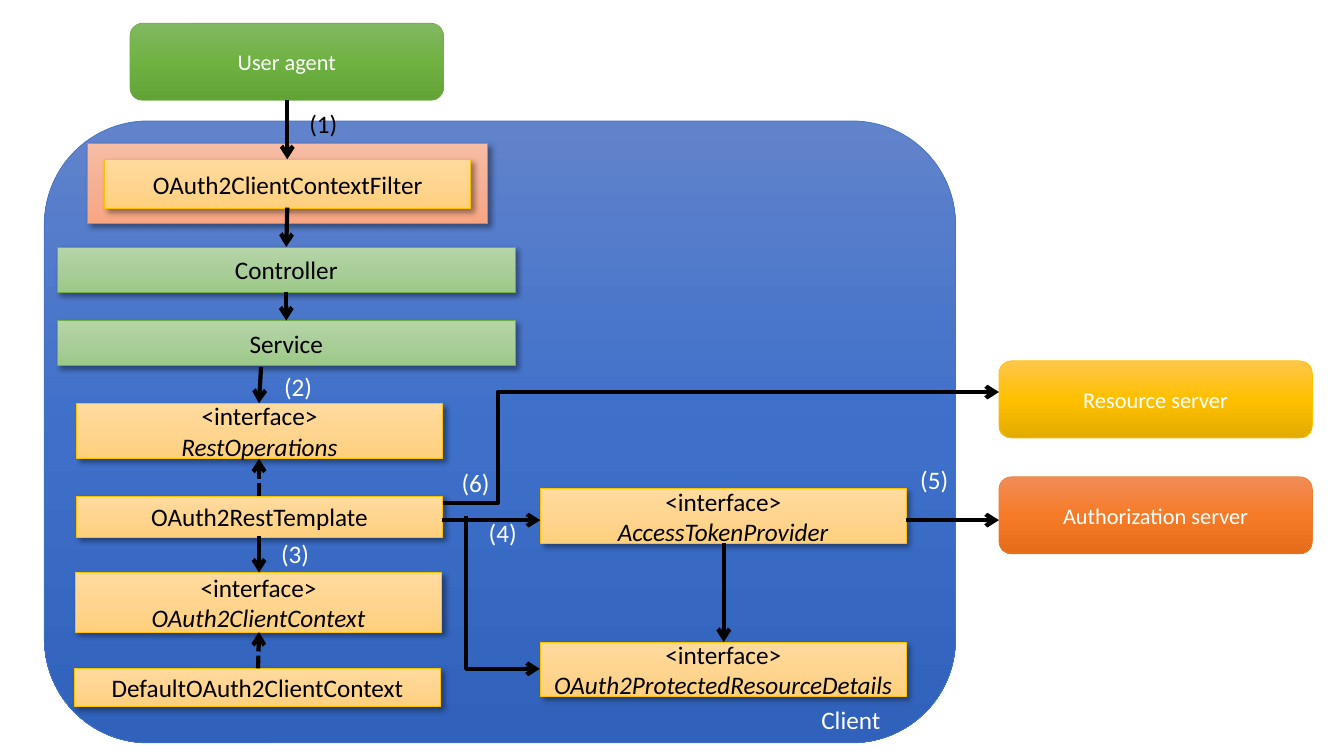
from lxml import etree
from pptx import Presentation, util as u
from pptx.dml.color import RGBColor
from pptx.enum import dml, shapes, text
from pptx.oxml.ns import qn

INK = {"black": "000000", "white": "FFFFFF"}
# Each theme: gradient from top to bottom, then the outline
FILLS = {
    "blue": ("6183CB", "3E70CA", "3062BB", "4472C4"),
    "orange": ("F18C57", "F67B28", "E56C19", "ED7D31"),
    "gold": ("FFC64B", "FFC000", "E3AB00", "FFC000"),
    "green": ("81B861", "6FB242", "62A336", "70AD47"),
    "cream": ("FFDB9E", "FFD590", "FFD07C", "FFC000"),
    "salmon": ("F7BDA5", "F5B196", "F8A582", "ED7D31"),
    "sage": ("B5D5A7", "AACE9A", "9CC987", "70AD47"),
}
CELL = u.Inches(0.1)  # the slide is a grid of 133.3 columns by 75 rows

deck = Presentation()
deck.slide_width, deck.slide_height = int(133.33 * CELL), 75 * CELL
slide = deck.slides.add_slide(deck.slide_layouts[6])
tree = slide.shapes


def box(words, col, row, wide, high, fill=None, size=18, ink="black", round=False):
    """Add a filled box, or a plain label when no fill is given; line 2 is italic."""
    area = [int(n * CELL) for n in (col, row, wide, high)]
    if fill:
        kind = shapes.MSO_SHAPE.ROUNDED_RECTANGLE if round else shapes.MSO_SHAPE.RECTANGLE
        item = tree.add_shape(kind, *area)
        item.fill.gradient()
        item.fill.gradient_angle = 270
        stops = item._element.spPr.find(qn("a:gradFill")).find(qn("a:gsLst"))
        for stop in list(stops):
            stops.remove(stop)
        *tones, edge = FILLS[fill]
        for place, tone in enumerate(tones):
            stop = etree.SubElement(stops, qn("a:gs"), pos=str(place * 50000))
            etree.SubElement(stop, qn("a:srgbClr"), val=tone)
        item.line.color.rgb = RGBColor.from_string(edge)
        item.line.width = u.Pt(0.5)
        item.shadow.inherit = False
        if not round:
            glow = etree.SubElement(
                item._element.spPr.find(qn("a:effectLst")), qn("a:outerShdw"),
                blurRad=str(u.Pt(4)), dist=str(u.Pt(3)), dir="2700000",
                algn="tl", rotWithShape="0")
            tint = etree.SubElement(glow, qn("a:srgbClr"), val=INK["black"])
            etree.SubElement(tint, qn("a:alpha"), val="40000")
    else:
        item = tree.add_textbox(*area)
    frame = item.text_frame
    frame.word_wrap = True
    if fill:
        frame.vertical_anchor = text.MSO_ANCHOR.MIDDLE
    if not words:
        return
    for place, words in enumerate(words.split("\n")):
        para = frame.add_paragraph() if place else frame.paragraphs[0]
        if fill:
            para.alignment = text.PP_ALIGN.CENTER
        run = para.add_run()
        run.text = words
        run.font.name, run.font.size = "Calibri", u.Pt(size)
        run.font.color.rgb = RGBColor.from_string(INK[ink])
        if place:
            run.font.italic = True


def link(start, end, dash=False, elbow=False):
    """Add a black arrow between two grid points and return it."""
    kind = shapes.MSO_CONNECTOR.ELBOW if elbow else shapes.MSO_CONNECTOR.STRAIGHT
    wire = tree.add_connector(kind, *[int(n * CELL) for n in (*start, *end)])
    wire.line.color.rgb = RGBColor.from_string(INK["black"])
    wire.line.width = u.Pt(3)
    if dash:
        wire.line.dash_style = dml.MSO_LINE.SQUARE_DOT
    etree.SubElement(wire.line._get_or_add_ln(), qn("a:tailEnd"), type="arrow")
    etree.SubElement(wire._element.spPr, qn("a:effectLst"))
    return wire


# Client area and the parties around it
box("", 4.4, 12, 90.4, 61.7, fill="blue", round=True)
for words, col, row, fill in (
    ("User agent", 12.9, 2.3, "green"),
    ("Resource server", 99.1, 35.8, "gold"),
    ("Authorization server", 99.1, 47.3, "orange"),
):
    box(words, col, row, 31.1, 7.65, fill=fill, size=16, ink="white", round=True)

# Web layers
box("", 8.7, 14.2, 39.7, 8, fill="salmon")
for words, row in (("Controller", 24.5), ("Service", 31.8)):
    box(words, 5.7, row, 45.4, 4.5, fill="sage")

# OAuth2 parts
for words, col, row, high in (
    ("OAuth2ClientContextFilter", 10.4, 15.8, 4.9),
    ("<interface>\nRestOperations", 7.6, 40, 5.5),
    ("OAuth2RestTemplate", 7.6, 49.2, 4.1),
    ("<interface>\nOAuth2ClientContext", 7.5, 56.8, 5.9),
    ("DefaultOAuth2ClientContext", 7.4, 66.3, 3.8),
    ("<interface>\nAccessTokenProvider", 53.6, 48.5, 5.4),
    ("<interface>\nOAuth2ProtectedResourceDetails", 53.6, 63.7, 5.4),
):
    box(words, col, row, 36.3, high, fill="cream")

# Straight arrows: start, end, dashed
for start, end, dash in (
    ((28.5, 9.9), (28.5, 15.8), False),
    ((28.5, 20.6), (28.4, 24.5), False),
    ((28.4, 29), (28.4, 31.8), False),
    ((25.9, 36.4), (25.7, 40), False),
    ((25.7, 49.2), (25.7, 45.5), True),
    ((25.7, 53.2), (25.7, 56.8), False),
    ((25.6, 66.3), (25.7, 62.7), True),
    ((43.8, 51.6), (53.6, 51.6), False),
    ((89.9, 51.6), (99.1, 51.6), False),
    ((71.8, 53.9), (71.8, 63.7), False),
):
    link(start, end, dash=dash)

# Bent arrows: to the resource server, and down to the resource details
wire = link((43.9, 49.9), (99.1, 38.9), elbow=True)
geom = wire._element.spPr.find(qn("a:prstGeom"))
etree.SubElement(geom.find(qn("a:avLst")), qn("a:gd"), name="adj1", fmla="val 9900")

wire = link((42.3, 55.1), (57.5, 62.4), elbow=True)
wire._element.spPr.find(qn("a:prstGeom")).set("prst", "bentConnector2")
frame = wire._element.spPr.find(qn("a:xfrm"))
frame.set("rot", "16200000")
frame.set("flipH", "1")

# Step numbers and the client's name
box("(1)", 29.7, 10.3, 7.9, 4)
for words, col, row in (
    ("(2)", 27.2, 36.3), ("(3)", 26.9, 52.9), ("(4)", 47.5, 50.8),
    ("(5)", 90.3, 45.6), ("(6)", 44.8, 45.9), ("Client", 80.5, 69.4),
):
    box(words, col, row, 11 if words == "Client" else 7.9, 4, ink="white")

deck.save("out.pptx")
